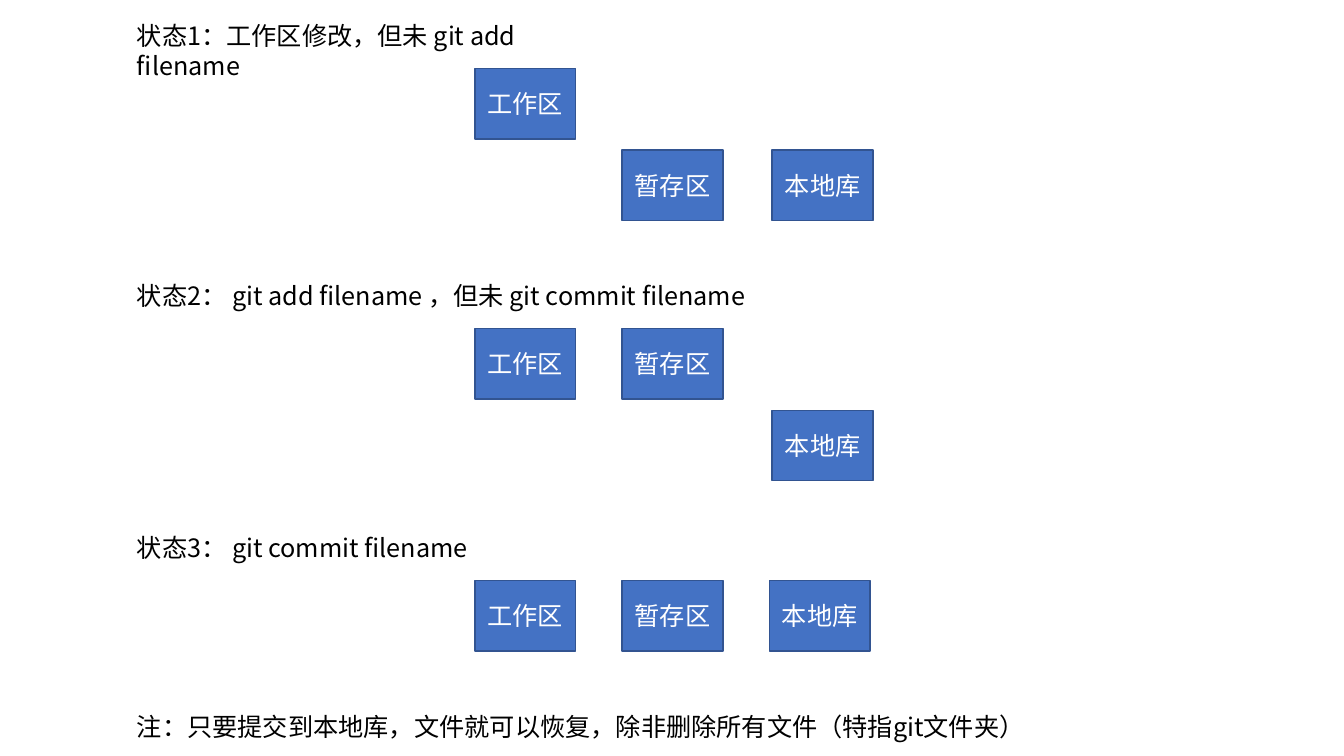
"""Build a slide showing how far a change has travelled in three git states."""
from dataclasses import dataclass

from lxml.etree import SubElement
from pptx import Presentation
from pptx.dml.color import RGBColor
from pptx.enum.shapes import MSO_SHAPE
from pptx.enum.text import MSO_ANCHOR, MSO_AUTO_SIZE, PP_ALIGN
from pptx.oxml.ns import qn
from pptx.shapes.autoshape import Shape
from pptx.shapes.shapetree import GroupShapes, SlideShapes
from pptx.util import Inches, Pt

FONT = "Noto Sans CJK SC"
BLUE = RGBColor(0x44, 0x72, 0xC4)
DARK_BLUE = RGBColor(0x32, 0x54, 0x91)
WHITE = RGBColor(0xFF, 0xFF, 0xFF)
BLACK = RGBColor(0x00, 0x00, 0x00)

CAPTION_LEFT, CAPTION_HEIGHT = 1.26, 0.4
AREA_LEFT, AREA_WIDTH, AREA_HEIGHT = 4.71, 1.0, 0.7
COLUMN_STEP, ROW_STEP = 1.46, 0.81
CAPTION_TO_AREA = 0.53
AREAS = ("工作区", "暂存区", "本地库")


@dataclass(frozen=True)
class State:
    """A caption, its place, and the grid column and row of each area."""

    caption: str
    top: float
    caption_width: float
    columns: tuple[float, ...]
    rows: tuple[int, ...]


STATES = (
    State("状态1：工作区修改，但未 git add filename", 0.15, 4.91, (0, 1, 2.02), (0, 1, 1)),
    State("状态2： git add filename ，但未 git commit filename", 2.73, 6.87, (0, 1, 2.02), (0, 0, 1)),
    State("状态3： git commit filename", 5.23, 6.87, (0, 1, 2), (0, 0, 0)),
)
NOTE = "注：只要提交到本地库，文件就可以恢复，除非删除所有文件（特指git文件夹）"


def write(holder: Shape, text: str, *, color: RGBColor = BLACK, size: float = 18,
          align: PP_ALIGN = PP_ALIGN.LEFT, anchor: MSO_ANCHOR = MSO_ANCHOR.TOP) -> None:
    """Put formatted text into a shape."""
    frame = holder.text_frame
    frame.word_wrap = True
    frame.vertical_anchor = anchor
    paragraph = frame.paragraphs[0]
    paragraph.alignment = align
    run = paragraph.add_run()
    run.text = text
    run.font.size = Pt(size)
    run.font.name = FONT
    run.font.color.rgb = color
    SubElement(run.font._element, qn("a:ea"), typeface=FONT)


def add_caption(shapes: SlideShapes | GroupShapes, text: str, top: float, width: float) -> None:
    """Add a line of black text at the left margin."""
    caption = shapes.add_textbox(Inches(CAPTION_LEFT), Inches(top), Inches(width), Inches(CAPTION_HEIGHT))
    write(caption, text)
    caption.text_frame.auto_size = MSO_AUTO_SIZE.SHAPE_TO_FIT_TEXT


def add_area(shapes: GroupShapes, name: str, left: float, top: float) -> None:
    """Add a blue box for one git area."""
    area = shapes.add_shape(MSO_SHAPE.RECTANGLE, Inches(left), Inches(top),
                            Inches(AREA_WIDTH), Inches(AREA_HEIGHT))
    area.shadow.inherit = False
    area.fill.solid()
    area.fill.fore_color.rgb = BLUE
    area.line.color.rgb = DARK_BLUE
    area.line.width = Pt(1)
    write(area, name, color=WHITE, align=PP_ALIGN.CENTER, anchor=MSO_ANCHOR.MIDDLE)


def add_state(shapes: SlideShapes, state: State) -> None:
    """Add a group with a state's areas and caption."""
    members = shapes.add_group_shape().shapes
    for name, column, row in zip(AREAS, state.columns, state.rows):
        add_area(members, name, AREA_LEFT + column * COLUMN_STEP,
                 state.top + CAPTION_TO_AREA + row * ROW_STEP)
    add_caption(members, state.caption, state.top, state.caption_width)


def main() -> None:
    """Build and save the slide."""
    presentation = Presentation()
    presentation.slide_width, presentation.slide_height = Inches(13.33), Inches(7.5)
    slide = presentation.slides.add_slide(presentation.slide_layouts.get_by_name("Blank"))
    for state in STATES:
        add_state(slide.shapes, state)
    add_caption(slide.shapes, NOTE, 7.01, 9.33)
    presentation.save("out.pptx")


if __name__ == "__main__":
    main()
